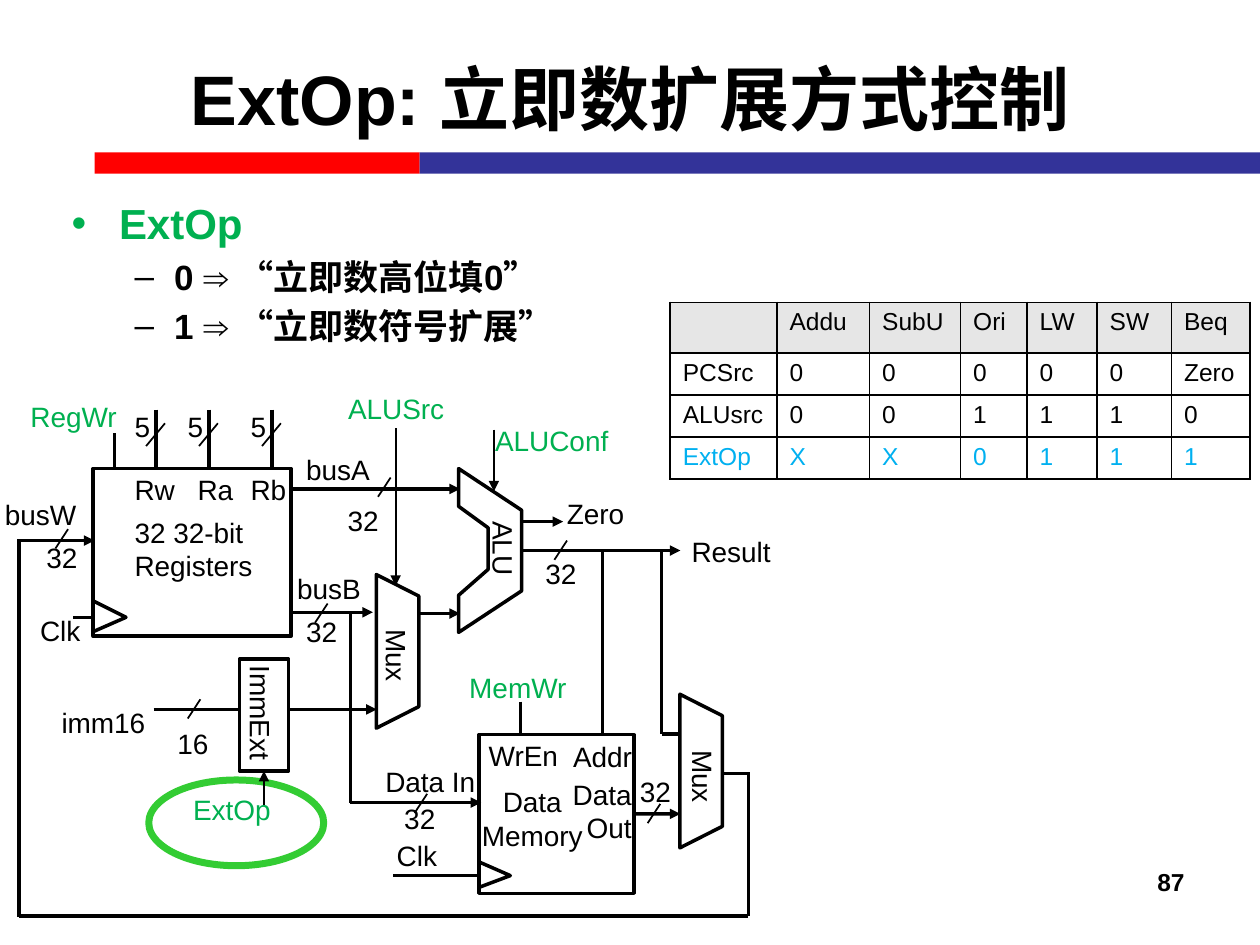
from pptx import Presentation
from pptx.dml.color import RGBColor
from pptx.enum.shapes import MSO_CONNECTOR, MSO_SHAPE
from pptx.enum.text import MSO_ANCHOR, MSO_AUTO_SIZE, PP_ALIGN
from pptx.oxml.ns import qn
from pptx.util import Pt
from lxml import etree

LEFT, CENTER, RIGHT = PP_ALIGN.LEFT, PP_ALIGN.CENTER, PP_ALIGN.RIGHT
RECT, OVAL = MSO_SHAPE.RECTANGLE, MSO_SHAPE.OVAL
STRAIGHT = MSO_CONNECTOR.STRAIGHT
BLACK, GREEN, BLUE = "000000", "00B050", "00B0F0"


def rgb(value):
    return RGBColor.from_string(value)


class Deck:
    font, thick, thin, label_h = "Arial", 2, 1, 26.6

    def __init__(self, prs):
        self.s = prs.slides.add_slide(prs.slide_layouts[1])

    def style(self, p, size, color=BLACK, bold=False):
        for r in p.runs:
            r.font.name, r.font.size, r.font.bold = self.font, Pt(size), bold
            r.font.color.rgb = rgb(color)

    def place(self, sp, x, y, w, h):
        sp.left, sp.top, sp.width, sp.height = Pt(x), Pt(y), Pt(w), Pt(h)

    def outline(self, sp, fill=None, line=BLACK, width=thick):
        sp.shadow.inherit = False
        if fill:
            sp.fill.solid()
            sp.fill.fore_color.rgb = rgb(fill)
        else:
            sp.fill.background()
        if line:
            sp.line.color.rgb = rgb(line)
            sp.line.width = Pt(width)
        else:
            sp.line.fill.background()
        return sp

    def shape(self, kind, x, y, w, h, **look):
        sp = self.s.shapes.add_shape(kind, Pt(x), Pt(y), Pt(w), Pt(h))
        return self.outline(sp, **look)

    def polygon(self, points, close=True):
        pts = [(Pt(x), Pt(y)) for x, y in points]
        fb = self.s.shapes.build_freeform(*pts[0], scale=1.0)
        fb.add_line_segments(pts[1:], close=close)
        return self.outline(fb.convert_to_shape())

    def wire(self, x1, y1, x2, y2, arrow=False, width=thick):
        c = self.s.shapes.add_connector(STRAIGHT, Pt(x1), Pt(y1), Pt(x2), Pt(y2))
        c.line.color.rgb = rgb(BLACK)
        c.line.width = Pt(width)
        if arrow:
            etree.SubElement(c.line._get_or_add_ln(), qn("a:tailEnd"), type="triangle")
        etree.SubElement(c._element.spPr, qn("a:effectLst"))
        return c

    def label(self, text, x, y, w, h=label_h, color=BLACK, align=LEFT,
              wrap=False, rotation=0, size=16, bold=False):
        sp = self.s.shapes.add_textbox(Pt(x), Pt(y), Pt(w), Pt(h))
        sp.rotation = rotation
        tf = sp.text_frame
        tf.word_wrap, tf.auto_size = wrap, MSO_AUTO_SIZE.SHAPE_TO_FIT_TEXT
        tf.text = text
        for p in tf.paragraphs:
            p.alignment = align
            self.style(p, size, color, bold)

    def table(self, rows, x, y, widths, row_h):
        frame = self.s.shapes.add_table(len(rows), len(widths), Pt(x), Pt(y),
                                        Pt(sum(widths)), Pt(row_h * len(rows)))
        tbl = frame.table
        for col, w in zip(tbl.columns, widths):
            col.width = Pt(w)
        for i, row in enumerate(rows):
            for j, text in enumerate(row):
                cell = tbl.cell(i, j)
                cell.text = text
                self.style(cell.text_frame.paragraphs[0], 14, BLUE if i == 3 else BLACK)
                self.borders(cell)
                if i == 0:
                    cell.fill.solid()
                    cell.fill.fore_color.rgb = rgb("E6E6E6")
                else:
                    cell.fill.background()

    def borders(self, cell):
        tcPr = cell._tc.get_or_add_tcPr()
        for side in ("lnL", "lnR", "lnT", "lnB"):
            ln = etree.SubElement(tcPr, qn("a:" + side), w=str(Pt(1)))
            fill = etree.SubElement(ln, qn("a:solidFill"))
            etree.SubElement(fill, qn("a:srgbClr"), val=BLACK)


def main():
    prs = Presentation()
    prs.slide_width, prs.slide_height = Pt(720), Pt(540)
    d = Deck(prs)

    # Title, colour bar, page number
    title, body = d.s.placeholders
    d.place(title, 36, 10.8, 648, 90)
    title.text_frame.text = "ExtOp: 立即数扩展方式控制"
    title.text_frame.vertical_anchor = MSO_ANCHOR.MIDDLE
    title.text_frame.paragraphs[0].alignment = CENTER
    d.style(title.text_frame.paragraphs[0], 40, bold=True)
    d.shape(RECT, 54, 87.1, 185.8, 12.2, fill="FF0000", line=None)
    d.shape(RECT, 239.8, 87.1, 480.2, 12.2, fill="333399", line=None)
    d.label("87", 516.2, 491.8, 167.8, 37.4, align=RIGHT, wrap=True, size=14, bold=True)

    # Bullet list
    d.place(body, 36, 110.9, 334, 91.4)
    tf = body.text_frame
    tf.margin_left = tf.margin_right = Pt(5)
    tf.margin_top = tf.margin_bottom = Pt(2.2)
    tf.text = "ExtOp\n0 ⇒ “立即数高位填0”\n1 ⇒ “立即数符号扩展”"
    head, *items = tf.paragraphs
    head.space_before = Pt(0)
    d.style(head, 24, GREEN, True)
    for p in items:
        p.level = 1
        d.style(p, 20, bold=True)

    # Control signal table
    d.table([["", "Addu", "SubU", "Ori", "LW", "SW", "Beq"],
             ["PCSrc", "0", "0", "0", "0", "0", "Zero"],
             ["ALUsrc", "0", "0", "1", "1", "1", "0"],
             ["ExtOp", "X", "X", "0", "1", "1", "1"]],
            383, 172.8, [61, 53, 52, 38, 40, 42.5, 45], 24)

    # Blocks: registers, immediate extender, data memory, ALU, muxes
    d.shape(OVAL, 85, 445.7, 100, 49, line="33CC33", width=4)
    d.shape(RECT, 53.3, 267.8, 113, 95.8)
    extender = d.shape(RECT, 136.8, 376.6, 28.1, 64)
    memory = d.shape(RECT, 273.6, 419.8, 88.6, 90.7)
    d.polygon([(262.1, 267.8), (298.1, 291.6), (298.1, 337.7), (262.1, 361.4),
               (262.1, 340.2), (279, 325.4), (279, 301.7), (262.1, 289.4)])
    for x, y in [(215, 328.3), (388.5, 396.7)]:
        d.polygon([(x, y), (x + 24.3, y + 12.3), (x + 24.3, y + 75.5), (x, y + 87.8)])
    d.polygon([(53.3, 343.4), (72, 352.8), (54, 360.7)], close=False)
    d.polygon([(273.6, 492.5), (291.6, 500.4), (274.3, 506.9)], close=False)

    # Horizontal arrows: busW, busA, busB, Result, Zero, mux, extender, Data In
    for x1, x2, y in [(10.8, 54, 308.9), (166.3, 262.8, 279.4), (166.3, 213.1, 349.9),
                      (298, 388.8, 314.6), (298, 321.8, 298.1), (239, 262.8, 350.6),
                      (164.9, 215.3, 405.4), (200.2, 275, 458.6)]:
        d.wire(x1, y, x2, y, arrow=True)
    d.wire(362.2, 465.1, 388.8, 465.1, arrow=True).begin_connect(memory, 3)

    # Plain horizontal wires
    for x1, x2, y in [(41.8, 53.3, 352.8), (87.8, 136.8, 405.4), (224.6, 273.6, 500.4),
                      (378, 388.8, 419.5), (412.6, 427.7, 442), (10.8, 427.7, 523.4)]:
        d.wire(x1, y, x2, y)

    # Plain vertical wires
    for x, y1, y2 in [(65.5, 247.7, 267.8), (10.8, 308.2, 524.2), (427.7, 441.4, 523.4),
                      (344.2, 313.9, 419.8), (378, 313.9, 419.5),
                      (297.4, 401, 419.8), (200.2, 349.9, 458.6)]:
        d.wire(x, y1, x, y2)

    # Control arrows
    d.wire(282.2, 245.5, 282.2, 280.8, arrow=True, width=d.thin)
    d.wire(226.1, 244.8, 226.1, 334.8, arrow=True, width=d.thin)
    d.wire(150.85, 460, 150.85, 440.6, arrow=True, width=d.thin).end_connect(extender, 2)

    # Register ports, five bits each
    for x in (89.3, 119.5, 155.5):
        d.wire(x, 234, x, 268.6)
        d.wire(x - 5.8, 254.9, x + 5, 241.9, width=d.thin)
        d.label("5", x - 19.4, 230.4, 23)

    # Bus width marks: slash position, then number position
    for x, y, text, tx, ty in [
            (324, 308.9, "32", 304.6, 314.6), (38.9, 302.4, "32", 19.4, 305.3),
            (223.2, 272.9, "32", 191.5, 284.4), (187.2, 344.9, "32", 167.8, 347.8),
            (114.5, 399.6, "16", 94.3, 411.8), (244.1, 453.6, "32", 223.9, 454.3),
            (377.3, 459.4, "32", 358.6, 439.2)]:
        d.wire(x, y, x - 7.2, y + 11, width=d.thin)
        d.label(text, tx, ty, 32.4)

    # Signal and port names
    for text, x, y, w in [
            ("Result", 388.1, 301.7, 59.8), ("Zero", 316.8, 280.1, 47.5),
            ("Clk", 15.8, 347, 37.4), ("Clk", 219.6, 475.9, 37.4),
            ("busW", -4.3, 280.8, 55.4), ("busA", 167.8, 254.9, 51.1),
            ("busB", 162.7, 323.3, 51.1), ("Rw", 69.8, 266.4, 37.4),
            ("Ra", 105.8, 266.4, 35.3), ("Rb", 136.1, 266.4, 35.3),
            ("imm16", 28.1, 399.6, 62.6), ("Data In", 213.1, 433.4, 66.2),
            ("WrEn", 272.2, 418.3, 54.7), ("Addr", 320.4, 419, 48.2)]:
        d.label(text, x, y, w)
    d.label("32 32-bit\nRegisters", 69.8, 290.9, 82.8, 46.1)
    d.label("Data\nMemory", 267.8, 445, 72.7, 46.1, align=CENTER)
    d.label("Data Out", 319, 440.6, 49, 46.1, align=RIGHT, wrap=True)

    # Vertical block names
    for text, x, y, w in [("ALU", 265, 300.2, 45.4), ("ImmExt", 114.5, 394.6, 69.1),
                          ("Mux", 203, 362.9, 47.5), ("Mux", 378, 432, 47.5)]:
        d.label(text, x, y, w, rotation=90)

    # Control signal names
    for text, x, y, w in [("RegWr", 10.1, 224.6, 64), ("ALUSrc", 191.5, 220.3, 69.8),
                          ("ALUConf", 271.4, 238.3, 87.8), ("MemWr", 260.6, 379.4, 70.6),
                          ("ExtOp", 103, 449.3, 59)]:
        d.label(text, x, y, w, color=GREEN, align=CENTER)

    prs.save("out.pptx")


if __name__ == "__main__":
    main()
